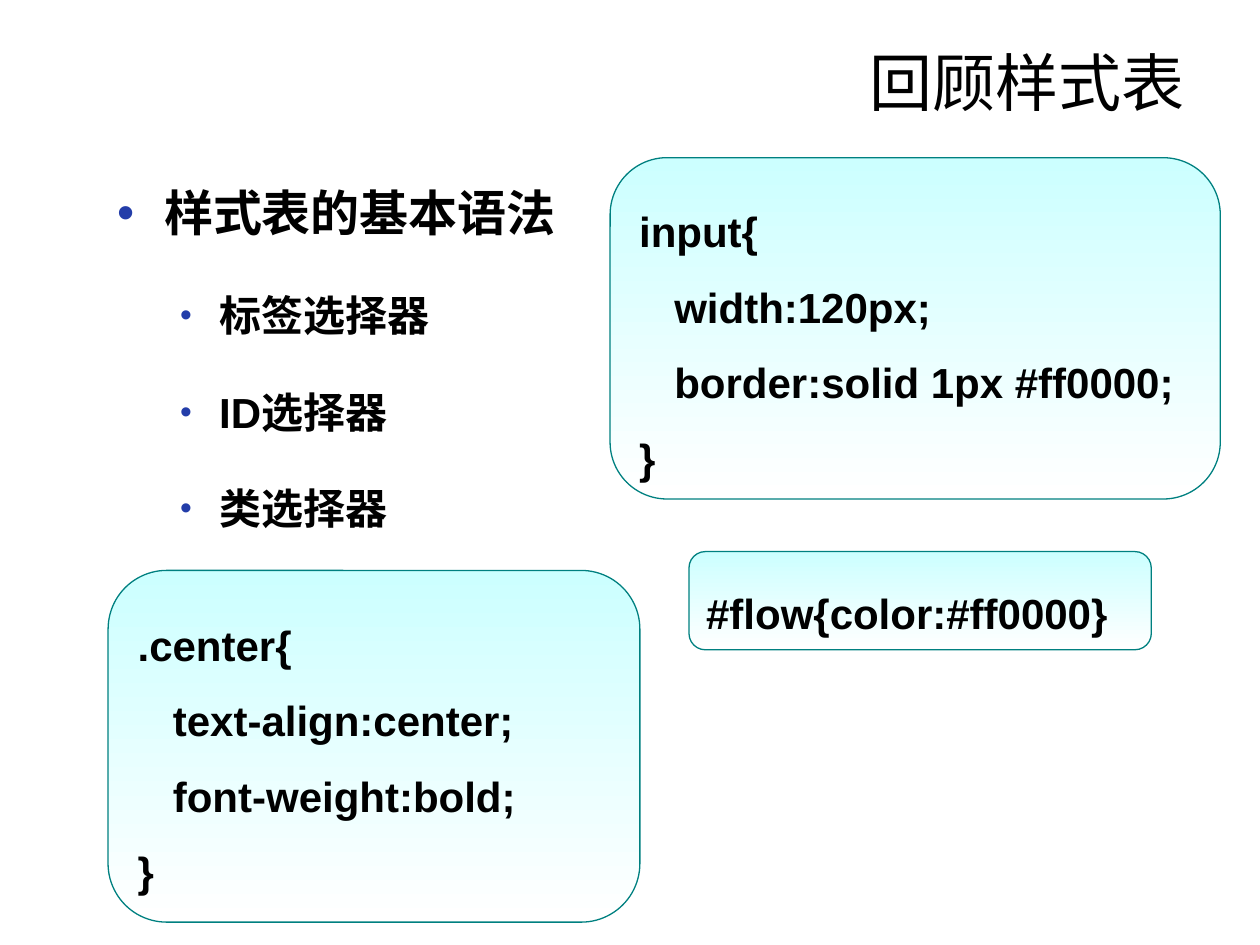
from lxml import etree
from pptx import Presentation
from pptx.dml.color import RGBColor
from pptx.enum.shapes import MSO_SHAPE
from pptx.enum.text import MSO_ANCHOR, PP_ALIGN
from pptx.oxml.ns import qn
from pptx.util import Cm, Pt

ROUNDED = MSO_SHAPE.ROUNDED_RECTANGLE
TOP = MSO_ANCHOR.TOP
LEFT, RIGHT = PP_ALIGN.LEFT, PP_ALIGN.RIGHT
COLORS = {"text": "000000", "bullet": "233DA9", "border": "008080",
          "code_top": "CCFFFF", "code_bottom": "FFFFFF"}


def color(name):
    return RGBColor.from_string(COLORS[name])


class SlideBuilder:
    font_name = "Arial"
    code_size = 24
    code_indent = 0.71
    bullet_levels = [
        {"size": 28, "margin": 0.95, "hanging": 0.95, "scale": 100},
        {"size": 24, "margin": 2.06, "hanging": 0.79, "scale": 80},
    ]

    def __init__(self, slide):
        self.slide = slide

    def add_text_box(self, left, top, width, height):
        shape = self.slide.shapes.add_textbox(Cm(left), Cm(top), Cm(width), Cm(height))
        shape.text_frame.word_wrap = True
        return shape.text_frame

    def add_paragraph(self, frame, index, text, size, bold=True, align=LEFT):
        paragraph = frame.paragraphs[0] if index == 0 else frame.add_paragraph()
        paragraph.text = text
        paragraph.alignment = align
        font = paragraph.font
        font.name, font.size, font.bold = self.font_name, Pt(size), bold
        font.color.rgb = color("text")
        properties = paragraph._p.get_or_add_pPr()
        defaults = properties.find(qn("a:defRPr"))
        etree.SubElement(defaults, qn("a:ea"), typeface=self.font_name)
        return paragraph

    def set_bullet(self, paragraph, margin, hanging, scale):
        properties = paragraph._p.get_or_add_pPr()
        properties.set("marL", str(Cm(margin)))
        properties.set("indent", str(-Cm(hanging)))
        bullet_color = etree.Element(qn("a:buClr"))
        etree.SubElement(bullet_color, qn("a:srgbClr"), val=COLORS["bullet"])
        bullet_size = etree.Element(qn("a:buSzPct"), val=str(scale * 1000))
        bullet_font = etree.Element(qn("a:buFont"), typeface=self.font_name)
        character = etree.Element(qn("a:buChar"), char="•")
        defaults = properties.find(qn("a:defRPr"))
        for element in (bullet_color, bullet_size, bullet_font, character):
            defaults.addprevious(element)

    def add_title(self, text, *box):
        frame = self.add_text_box(*box)
        self.add_paragraph(frame, 0, text, 36, bold=False, align=RIGHT)

    def add_bullets(self, items, *box):
        frame = self.add_text_box(*box)
        for index, (level, text) in enumerate(items):
            style = self.bullet_levels[level]
            paragraph = self.add_paragraph(frame, index, text, style["size"])
            paragraph.level = level
            paragraph.line_spacing = 1.5
            paragraph.space_before = paragraph.space_after = Pt(style["size"] / 4)
            self.set_bullet(paragraph, style["margin"], style["hanging"], style["scale"])

    def add_code(self, lines, left, top, width, height):
        shape = self.slide.shapes.add_shape(ROUNDED, Cm(left), Cm(top), Cm(width), Cm(height))
        shape.shadow.inherit = False
        shape.fill.gradient()
        shape.fill.gradient_angle = 270
        for stop, name, position in zip(shape.fill.gradient_stops,
                                        ("code_top", "code_bottom"), (0, 1)):
            stop.color.rgb = color(name)
            stop.position = position
        shape.line.color.rgb = color("border")
        shape.line.width = Pt(0.75)
        frame = shape.text_frame
        frame.word_wrap = True
        frame.vertical_anchor = TOP
        for index, (depth, text) in enumerate(lines):
            paragraph = self.add_paragraph(frame, index, text, self.code_size)
            paragraph.line_spacing = 1.5
            if depth:
                properties = paragraph._p.get_or_add_pPr()
                properties.set("marL", str(Cm(depth * self.code_indent)))
                properties.set("indent", "0")


presentation = Presentation()
presentation.slide_width, presentation.slide_height = Cm(25.4), Cm(19.05)
builder = SlideBuilder(presentation.slides.add_slide(presentation.slide_layouts[6]))

builder.add_title("回顾样式表", 1.27, 0.76, 22.86, 3.18)
builder.add_bullets(
    [(0, "样式表的基本语法"), (1, "标签选择器"), (1, "ID选择器"), (1, "类选择器")],
    2.11, 2.97, 22.02, 9.93)
builder.add_code(
    [(0, "input{"), (1, "width:120px;"), (1, "border:solid 1px #ff0000;"), (0, "}")],
    12.3, 3.18, 12.3, 6.88)
builder.add_code([(0, "#flow{color:#ff0000}")], 13.89, 11.12, 9.32, 1.98)
builder.add_code(
    [(0, ".center{"), (1, "text-align:center;"), (1, "font-weight:bold;"), (0, "}")],
    2.18, 11.5, 10.72, 7.09)

presentation.save("out.pptx")
